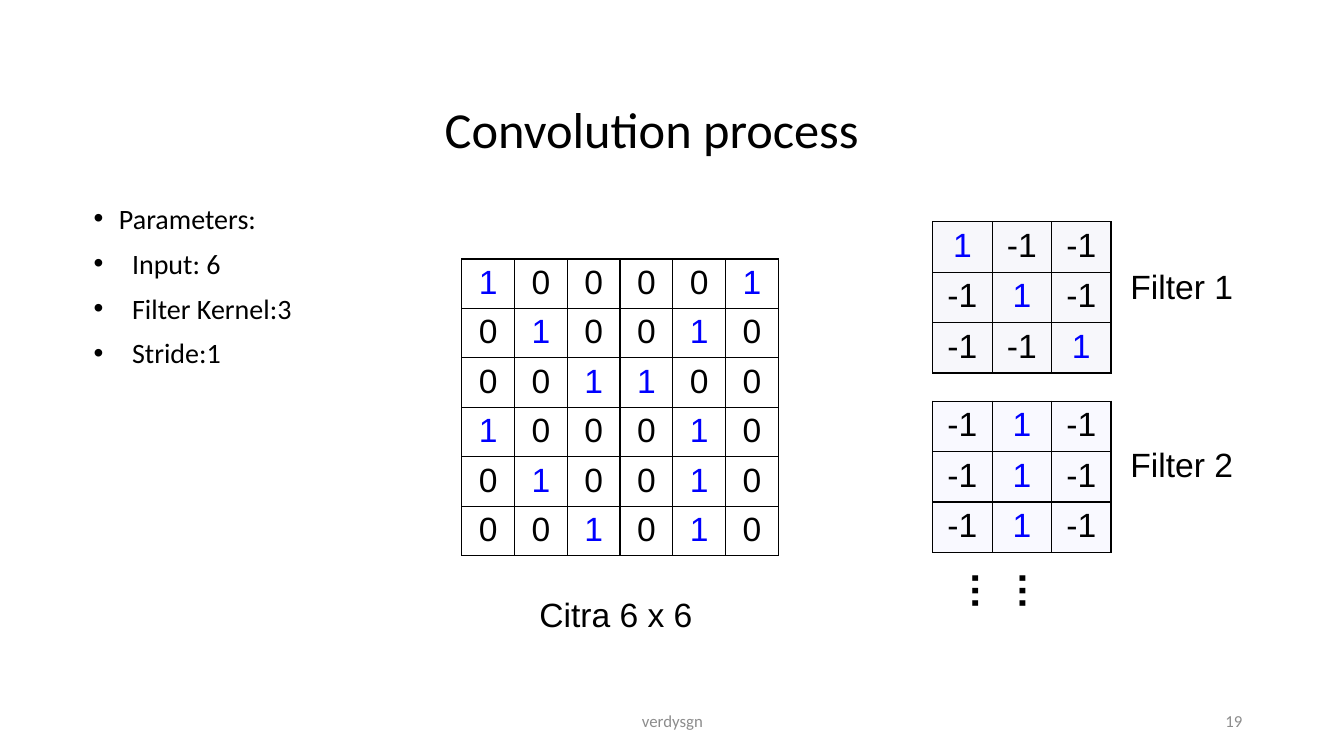
from dataclasses import dataclass
from typing import Optional

from lxml.etree import SubElement
from pptx import Presentation
from pptx.dml.color import RGBColor
from pptx.enum.text import MSO_ANCHOR, PP_ALIGN
from pptx.oxml.ns import qn
from pptx.util import Inches, Pt


@dataclass(frozen=True)
class Theme:
    ink: str = "000000"
    mark: str = "0000FF"
    gray: str = "8C8C8C"
    head: str = "Calibri"
    sans: str = "Arial"
    title: float = 36
    dots: float = 28
    label: float = 24
    body: float = 20
    foot: float = 12
    border: float = 0.96


@dataclass(frozen=True)
class Label:
    text: str
    box: tuple[float, float, float, float]
    size: float
    font: str
    color: str
    align: PP_ALIGN = PP_ALIGN.CENTER
    anchor: MSO_ANCHOR = MSO_ANCHOR.TOP
    bold: bool = False
    turn: float = 0


@dataclass(frozen=True)
class Grid:
    rows: list[str]
    left: float
    top: float
    width: float
    height: float
    base: float
    fill: Optional[str] = None


@dataclass(frozen=True)
class Bullet:
    text: str
    indent: float


THEME = Theme()

BULLETS = [
    Bullet("Parameters:", 0.25),
    Bullet("Input: 6", 0.38),
    Bullet("Filter Kernel:3", 0.38),
    Bullet("Stride:1", 0.38),
]

GRIDS = [
    Grid(["1 0 0 0 0 1", "0 1 0 0 1 0", "0 0 1 1 0 0",
          "1 0 0 0 1 0", "0 1 0 0 1 0", "0 0 1 0 1 0"],
         4.58, 2.57, 3.14, 2.84, 0.04),
    Grid(["1 -1 -1", "-1 1 -1", "-1 -1 1"], 9.25, 2.2, 1.77, 1.5, 0.05, "F7F7FB"),
    Grid(["-1 1 -1"] * 3, 9.25, 3.98, 1.77, 1.5, 0.05, "F9F9FF"),
]

LABELS = [
    Label("Citra 6 x 6 ", (4.87, 5.84, 2.57, 0.5), THEME.label, THEME.sans, THEME.ink),
    Label("Filter 1", (10.93, 2.59, 1.58, 0.5), THEME.label, THEME.sans, THEME.ink),
    Label("Filter 2", (10.93, 4.35, 1.58, 0.5), THEME.label, THEME.sans, THEME.ink),
    Label("……", (9.65, 5.44, 0.77, 1.03), THEME.dots, THEME.sans, THEME.ink,
          PP_ALIGN.LEFT, bold=True, turn=90),
    Label("verdysgn", (4.42, 6.95, 4.5, 0.4), THEME.foot, THEME.head, THEME.gray,
          anchor=MSO_ANCHOR.MIDDLE),
    Label("19", (9.42, 6.95, 3, 0.4), THEME.foot, THEME.head, THEME.gray,
          PP_ALIGN.RIGHT, MSO_ANCHOR.MIDDLE),
]


def style(para, size: float, font: str, color: str, bold: bool = False) -> None:
    for run in para.runs:
        run.font.size = Pt(size)
        run.font.name = font
        run.font.bold = bold
        run.font.color.rgb = RGBColor.from_string(color)


def add_title(slide, text: str) -> None:
    title = slide.shapes.title
    title.left, title.top = Inches(0.93), Inches(0.96)
    title.width, title.height = Inches(11.07), Inches(0.71)
    frame = title.text_frame
    frame.text = text
    frame.vertical_anchor = MSO_ANCHOR.MIDDLE
    para = frame.paragraphs[0]
    para.alignment = PP_ALIGN.CENTER
    para.line_spacing = 0.9
    style(para, THEME.title, THEME.head, THEME.ink)


def add_list(slide, items: list[Bullet]) -> None:
    box = slide.shapes.add_textbox(Inches(0.93), Inches(2), Inches(11.07), Inches(4.76))
    frame = box.text_frame
    frame.word_wrap = True
    frame.margin_left = frame.margin_right = 0
    frame.margin_top = frame.margin_bottom = 0
    for i, item in enumerate(items):
        para = frame.add_paragraph() if i else frame.paragraphs[0]
        para.text = item.text
        para.space_before = Pt(8 if i else 0)
        props = para._p.get_or_add_pPr()
        props.set("marL", str(Inches(item.indent)))
        props.set("indent", str(-Inches(item.indent)))
        SubElement(props, qn("a:buFont"), typeface=THEME.sans)
        SubElement(props, qn("a:buChar"), char="•")
        style(para, THEME.body, THEME.head, THEME.ink)


def add_label(slide, label: Label) -> None:
    box = slide.shapes.add_textbox(*map(Inches, label.box))
    box.rotation = label.turn
    frame = box.text_frame
    frame.word_wrap = True
    frame.vertical_anchor = label.anchor
    frame.text = label.text
    para = frame.paragraphs[0]
    para.alignment = label.align
    style(para, label.size, label.font, label.color, label.bold)


def add_edges(cell) -> None:
    props = cell._tc.get_or_add_tcPr()
    for i, side in enumerate(("lnL", "lnR", "lnT", "lnB")):
        line = SubElement(props, qn(f"a:{side}"), w=str(Pt(THEME.border)))
        fill = SubElement(line, qn("a:solidFill"))
        SubElement(fill, qn("a:srgbClr"), val=THEME.ink)
        props.insert(i, line)


def add_grid(slide, grid: Grid) -> None:
    values = [row.split() for row in grid.rows]
    count = len(values)
    table = slide.shapes.add_table(
        count, count, Inches(grid.left), Inches(grid.top),
        Inches(grid.width), Inches(grid.height)).table
    table.first_row = table.horz_banding = False
    for r, row in enumerate(values):
        for c, value in enumerate(row):
            cell = table.cell(r, c)
            cell.margin_bottom = Inches(grid.base)
            cell.text_frame.text = value
            para = cell.text_frame.paragraphs[0]
            para.alignment = PP_ALIGN.CENTER
            color = THEME.mark if value == "1" else THEME.ink
            style(para, THEME.label, THEME.sans, color)
            if grid.fill:
                cell.fill.solid()
                cell.fill.fore_color.rgb = RGBColor.from_string(grid.fill)
            else:
                cell.fill.background()
            add_edges(cell)


def main() -> None:
    deck = Presentation()
    deck.slide_width, deck.slide_height = Inches(13.33), Inches(7.5)
    slide = deck.slides.add_slide(deck.slide_layouts[5])
    add_title(slide, "Convolution process")
    add_list(slide, BULLETS)
    for grid in GRIDS:
        add_grid(slide, grid)
    for label in LABELS:
        add_label(slide, label)
    deck.save("out.pptx")


if __name__ == "__main__":
    main()
